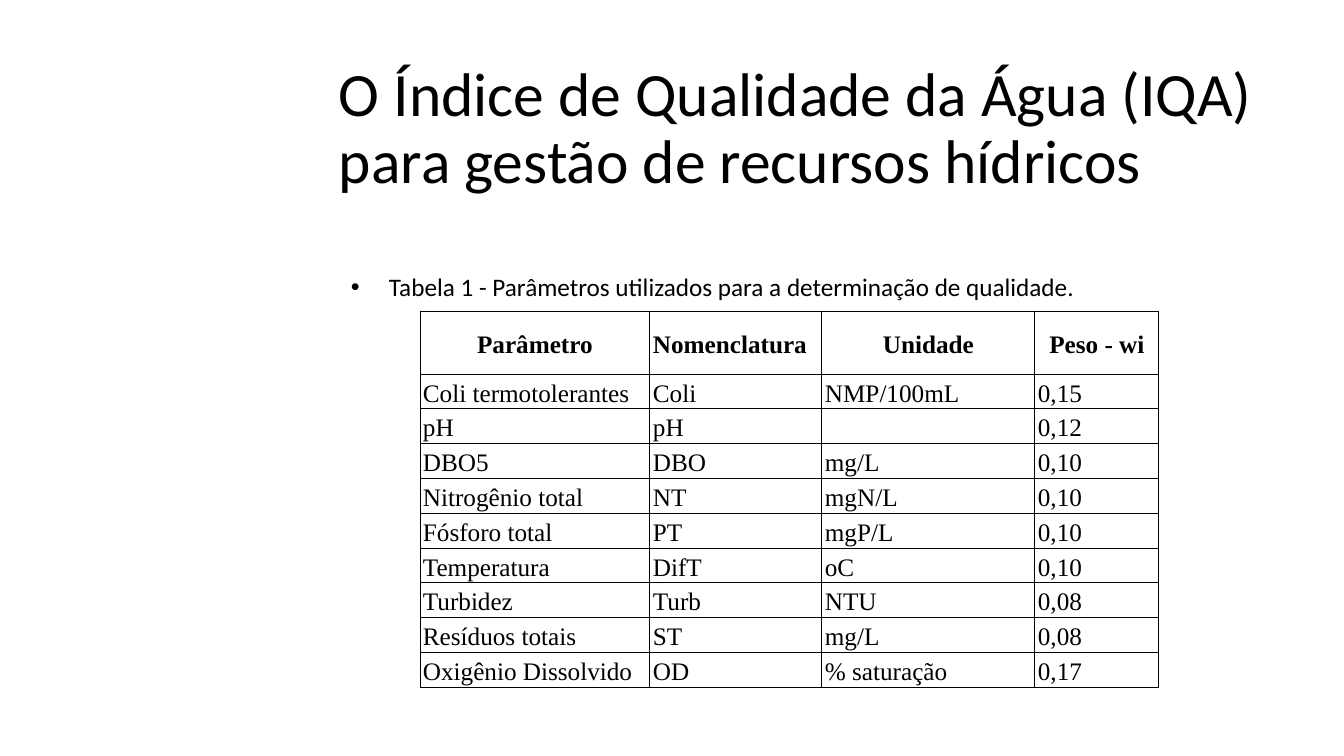
from lxml import etree
from pptx import Presentation
from pptx import util as u
from pptx.dml.color import RGBColor
from pptx.enum import text
from pptx.oxml.ns import qn

BLACK = RGBColor(0x00, 0x00, 0x00)
WHITE = RGBColor(0xFF, 0xFF, 0xFF)
EMU_PER_PX = 914400 / 100.8

HEADERS = ["Parâmetro", "Nomenclatura", "Unidade", "Peso - wi"]
CENTERED_HEADERS = {"Parâmetro", "Unidade", "Peso - wi"}
PARAMETERS = [
    ["Coli termotolerantes", "Coli", "NMP/100mL", "0,15"],
    ["pH", "pH", "", "0,12"],
    ["DBO5", "DBO", "mg/L", "0,10"],
    ["Nitrogênio total", "NT", "mgN/L", "0,10"],
    ["Fósforo total", "PT", "mgP/L", "0,10"],
    ["Temperatura", "DifT", "oC", "0,10"],
    ["Turbidez", "Turb", "NTU", "0,08"],
    ["Resíduos totais", "ST", "mg/L", "0,08"],
    ["Oxigênio Dissolvido", "OD", "% saturação", "0,17"],
]


def px(length):
    return u.Emu(round(length * EMU_PER_PX))


def write(frame, content, font="Calibri", size=18, bold=False, color=BLACK,
          align=text.PP_ALIGN.LEFT, spacing=1.0):
    paragraph = frame.paragraphs[0]
    paragraph.alignment = align
    paragraph.line_spacing = spacing
    paragraph.font.size = u.Pt(size)
    if content:
        run = paragraph.add_run()
        run.text = content
        run.font.name = font
        run.font.size = u.Pt(size)
        run.font.bold = bold
        run.font.color.rgb = color
    return paragraph


class SlideBuilder:
    body_font = "Calibri"
    table_font = "Times New Roman"
    border_width = u.Pt(0.75)

    def __init__(self, presentation):
        self.slide = presentation.slides.add_slide(presentation.slide_layouts[6])
        background = self.slide.background.fill
        background.solid()
        background.fore_color.rgb = WHITE

    def textbox(self, left, top, width, height, content,
                anchor=text.MSO_ANCHOR.TOP, **style):
        box = self.slide.shapes.add_textbox(px(left), px(top), px(width), px(height))
        frame = box.text_frame
        frame.word_wrap = True
        frame.vertical_anchor = anchor
        frame.margin_left = frame.margin_right = px(10)
        frame.margin_top = frame.margin_bottom = px(5)
        return write(frame, content, font=self.body_font, **style)

    def bullet(self, paragraph, margin, hanging):
        properties = paragraph._p.get_or_add_pPr()
        properties.set("marL", str(px(margin)))
        properties.set("indent", str(-px(hanging)))
        color = etree.SubElement(properties, qn("a:buClr"))
        etree.SubElement(color, qn("a:srgbClr"), val=str(BLACK))
        etree.SubElement(properties, qn("a:buFont"), typeface="Arial")
        etree.SubElement(properties, qn("a:buChar"), char="•")

    def borders(self, cell):
        properties = cell._tc.get_or_add_tcPr()
        for index, side in enumerate(("a:lnL", "a:lnR", "a:lnT", "a:lnB")):
            line = properties.makeelement(qn(side), {"w": str(self.border_width)})
            fill = etree.SubElement(line, qn("a:solidFill"))
            etree.SubElement(fill, qn("a:srgbClr"), val=str(BLACK))
            properties.insert(index, line)

    def cell(self, cell, content, **style):
        cell.margin_left = cell.margin_right = px(3)
        cell.margin_top = cell.margin_bottom = 0
        cell.vertical_anchor = text.MSO_ANCHOR.MIDDLE
        cell.fill.background()
        self.borders(cell)
        write(cell.text_frame, content, font=self.table_font, spacing=1.15, **style)

    def table(self, left, top, widths, heights, rows):
        table = self.slide.shapes.add_table(
            len(rows), len(widths), px(left), px(top),
            px(sum(widths)), px(sum(heights))).table
        table.first_row = table.horz_banding = False
        for column, width in zip(table.columns, widths):
            column.width = px(width)
        for row, height in zip(table.rows, heights):
            row.height = px(height)
        for row_index, row in enumerate(rows):
            is_header = row_index == 0
            for column_index, content in enumerate(row):
                centered = is_header and content in CENTERED_HEADERS
                self.cell(table.cell(row_index, column_index), content, bold=is_header,
                          align=text.PP_ALIGN.CENTER if centered else text.PP_ALIGN.LEFT)


def main():
    presentation = Presentation()
    presentation.slide_width, presentation.slide_height = px(1344), px(756)
    builder = SlideBuilder(presentation)

    # Title
    builder.textbox(329, 57, 968, 146,
                    "O Índice de Qualidade da Água (IQA) para gestão de recursos hídricos",
                    anchor=text.MSO_ANCHOR.MIDDLE, size=44, spacing=0.9)

    # Table caption
    caption = builder.textbox(
        329, 236, 923, 480,
        "Tabela 1 - Parâmetros utilizados para a determinação de qualidade.", spacing=2.0)
    builder.bullet(caption, margin=50, hanging=38)

    # Parameter table
    builder.table(420, 311, widths=[230, 172, 213, 124],
                  heights=[63] + [32] * len(PARAMETERS), rows=[HEADERS] + PARAMETERS)

    presentation.save("out.pptx")


if __name__ == "__main__":
    main()
